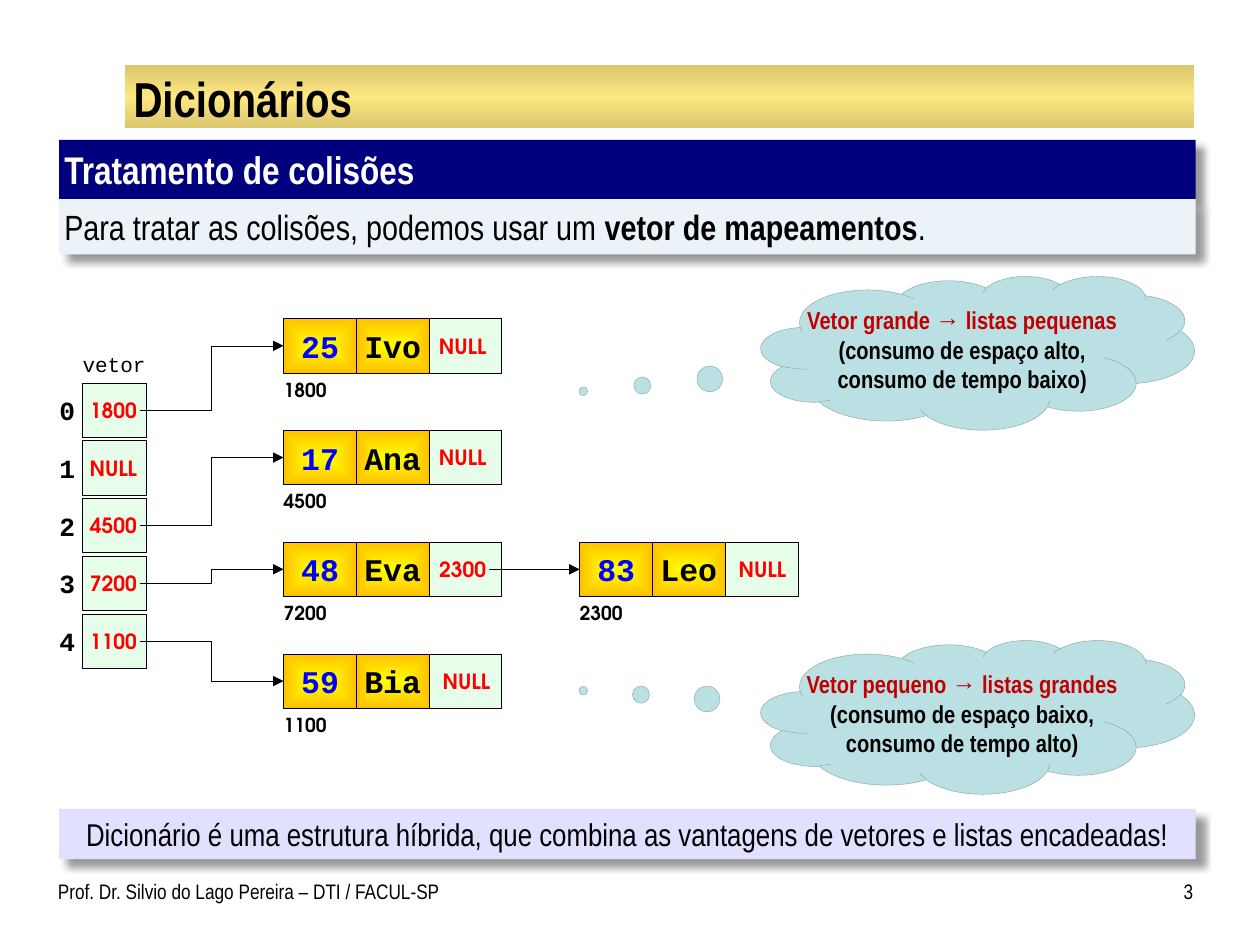
from pptx import Presentation
from pptx.dml.color import RGBColor
from pptx.enum.shapes import MSO_CONNECTOR, MSO_SHAPE
from pptx.enum.text import MSO_ANCHOR, MSO_AUTO_SIZE, PP_ALIGN
from pptx.oxml import parse_xml
from pptx.oxml.ns import nsdecls, qn
from pptx.util import Inches, Pt

COLS = 100  # square grid cells across a 10 x 7.5 inch slide, so 75 rows
LEFT, MID, RIGHT = PP_ALIGN.LEFT, PP_ALIGN.CENTER, PP_ALIGN.RIGHT


class Theme:
    black, white, red = "000000", "FFFFFF", "FF0000"
    navy, ice, lilac = "00007E", "EBF3F9", "E1E1FF"
    mint, cloud, edge = "E6FEE9", "BBE0E3", "8AA6A8"
    gold = [(0, "DAC66E"), (50, "FFE781"), (100, "DAC66E")]
    sun = [(0, "FFFF00"), (100, "FFC000")]
    sans, mono, round = "Arial Narrow", "Courier New", "TeX Gyre Adventor"
    hair = 0.25
    title = dict(name=sans, size=28, bold=True, color=black)
    head = dict(name=sans, size=22, bold=True, color=white)
    body = dict(name=sans, size=20, bold=False, color=black)
    sum = dict(name=sans, size=18, bold=False, color=black)
    foot = dict(name=sans, size=12, bold=False, color=black)
    note = dict(name=sans, size=14, bold=True, color=black)
    lead = dict(note, color="C00000")
    name = dict(name=mono, size=18, bold=True, color=black)
    key = dict(name, color="0000FF")
    index = dict(name, size=15)
    tag = dict(name=mono, size=12, bold=False, color=black)
    link = dict(name=round, size=12, bold=True, color=red)
    home = dict(name=round, size=11, bold=True, color=black)


class Deck:
    def __init__(self, theme):
        self.theme = theme
        self.file = Presentation()
        self.file.slide_width, self.file.slide_height = Inches(10), Inches(7.5)
        self.cell = self.file.slide_width / COLS
        self.slide = self.file.slides.add_slide(self.file.slide_layouts[5])
        self.shapes = self.slide.shapes

    def grid(self, *spots):
        return [round(spot * self.cell) for spot in spots]

    def words(self, shape, lines, align=LEFT, anchor=MSO_ANCHOR.TOP,
              pad=(0, 0, 0, 0), wrap=True):
        """Fill a shape with lines, each a list of (text, style) runs."""
        frame = shape.text_frame
        left, top, right, base = self.grid(*pad)
        form = dict(auto_size=MSO_AUTO_SIZE.NONE, word_wrap=wrap,
                    vertical_anchor=anchor, margin_left=left, margin_top=top,
                    margin_right=right, margin_bottom=base)
        for name, value in form.items():
            setattr(frame, name, value)
        for place, line in enumerate(lines):
            para = frame.add_paragraph() if place else frame.paragraphs[0]
            para.alignment = align
            for text, style in line:
                run = para.add_run()
                run.text = text
                for name, value in style.items():
                    if name == "color":
                        run.font.color.rgb = RGBColor.from_string(value)
                    else:
                        setattr(run.font, name, Pt(value) if name == "size" else value)

    def title(self, spot, text):
        shape = self.shapes.title
        shape.left, shape.top, shape.width, shape.height = self.grid(*spot)
        self.words(shape, [[(text, self.theme.title)]],
                   anchor=MSO_ANCHOR.MIDDLE, pad=(.6, .1, .6, .1))

    def box(self, spot, fill, line=None, kind=MSO_SHAPE.RECTANGLE):
        shape = self.shapes.add_shape(kind, *self.grid(*spot))
        shape.shadow.inherit = False
        if isinstance(fill, str):
            shape.fill.solid()
            shape.fill.fore_color.rgb = RGBColor.from_string(fill)
        if line:
            shape.line.color.rgb = RGBColor.from_string(line)
            shape.line.width = Pt(self.theme.hair)
        else:
            shape.line.fill.background()
        return shape

    def blend(self, spot, stops, way, line=None):
        """Draw a box with a gradient; way is the XML for its direction."""
        shape = self.box(spot, None, line)
        shape.fill.gradient()
        old = shape._element.spPr.find(qn("a:gradFill"))
        marks = "".join(f'<a:gs pos="{at * 1000}"><a:srgbClr val="{tint}"/></a:gs>'
                        for at, tint in stops)
        old.getparent().replace(old, parse_xml(
            f'<a:gradFill {nsdecls("a")} rotWithShape="1">'
            f'<a:gsLst>{marks}</a:gsLst>{way}</a:gradFill>'))
        return shape

    def band(self, spot, stops):
        shape = self.blend(spot, stops, '<a:lin ang="5400000" scaled="0"/>')
        self.shapes._spTree.insert(2, shape._element)  # behind the title

    def panel(self, spot, fill, runs, align=LEFT):
        shape = self.box(spot, fill)
        shape._element.spPr.find(qn("a:effectLst")).append(parse_xml(
            f'<a:outerShdw {nsdecls("a")} blurRad="{Pt(4)}" dist="{Pt(6)}" '
            'dir="2700000" algn="tl" rotWithShape="0"><a:srgbClr val="000000">'
            '<a:alpha val="40000"/></a:srgbClr></a:outerShdw>'))
        self.words(shape, [runs], align, pad=(.4, .5, .4, .5))

    def text(self, spot, text, style, align=LEFT, pad=(0, 0, 0, 0)):
        shape = self.shapes.add_textbox(*self.grid(*spot))
        self.words(shape, [[(text, style)]], align, pad=pad)

    def label(self, spot, fill, text, style, pad=(0, 0, 0, 0)):
        shape = self.box(spot, fill)
        self.words(shape, [[(text, style)]], MID, pad=pad, wrap=False)
        return shape

    def link(self, x, y, text, wide=4):
        return self.label((x, y + 1.15, wide, 2), self.theme.mint, text,
                          self.theme.link, (0, 0, .2, 0))

    def slot(self, x, y, index, text):
        """Draw one numbered vector slot and return its link label."""
        theme = self.theme
        self.label((x - 1.8, y + .9, 1.3, 2.5), theme.white, index, theme.index)
        self.box((x, y, 5.1, 4.3), theme.mint, theme.black)
        return self.link(x + .6, y, text)

    def node(self, x, y, key, name, text, home, wide):
        """Draw one list node and return its first box and link label."""
        theme, step = self.theme, 5.76
        self.box((x + 2 * step, y, 5.8, 4.3), theme.mint, theme.black)
        tail = self.link(x + 2 * step + .8, y, text, wide)
        way = ('<a:path path="shape"><a:fillToRect l="50000" t="50000" '
               'r="50000" b="50000"/></a:path>')
        parts = []
        for place, (word, style) in enumerate([(key, theme.key), (name, theme.name)]):
            part = self.blend((x + place * step, y, 5.8, 4.3), theme.sun, way, theme.black)
            self.words(part, [[(word, style)]], MID, MSO_ANCHOR.MIDDLE, (0, .3, 0, .3))
            parts.append(part)
        self.text((x, y + 4.5, 5.9, 2.6), home, theme.home, pad=(0, .2, 0, .3))
        return parts[0], tail

    def arrow(self, start, end, kind=MSO_CONNECTOR.ELBOW):
        """Join the right side of start to the left side of end."""
        wire = self.shapes.add_connector(kind, 0, 0, 0, 0)
        wire.begin_connect(start, 3)
        wire.end_connect(end, 1)
        wire.line.color.rgb = RGBColor.from_string(self.theme.black)
        wire.line.width = Pt(self.theme.hair)
        wire.line._ln.append(parse_xml(f'<a:tailEnd {nsdecls("a")} type="triangle"/>'))
        wire._element.spPr.append(parse_xml(f'<a:effectLst {nsdecls("a")}/>'))

    def cloud(self, spot, aim, lead, *notes):
        theme = self.theme
        shape = self.box(spot, theme.cloud, theme.edge, MSO_SHAPE.CLOUD_CALLOUT)
        for place, value in enumerate(aim):
            shape.adjustments[place] = value
        lines = [[(lead, theme.lead)]] + [[(note, theme.note)] for note in notes]
        self.words(shape, lines, MID, MSO_ANCHOR.MIDDLE, (0, .4, 0, .4), False)


def main():
    theme = Theme()
    deck = Deck(theme)
    edge, wide = 4.7, 90.2

    deck.band((9.9, 5.2, 84.9, 5), theme.gold)
    deck.title((10, 5.4, 84.7, 4.7), "Dicionários")
    deck.text((4.6, 69.2, 40, 4.2), "Prof. Dr. Silvio do Lago Pereira – DTI / FACUL-SP",
              theme.foot, pad=(0, .5, 1, .5))
    deck.text((90.8, 69.2, 3.9, 4.2), "3", theme.foot, RIGHT, (1, .5, 0, .5))
    deck.panel((edge, 11.1, wide, 4.7), theme.navy, [("Tratamento de colisões", theme.head)])
    deck.panel((edge, 15.8, wide, 4.4), theme.ice, [
        ("Para tratar as colisões, podemos usar um ", theme.body),
        ("vetor de mapeamentos", dict(theme.body, bold=True)), (".", theme.body)])
    deck.panel((edge, 64.2, wide, 4), theme.lilac, [
        ("Dicionário é uma estrutura híbrida, que combina as vantagens "
         "de vetores e listas encadeadas!", theme.sum)], MID)

    deck.text((6.3, 27.9, 5.5, 2.6), "vetor", theme.tag, MID)
    slots = {}
    for row, home in enumerate(["1800", "NULL", "4500", "7200", "1100"]):
        slots[home] = deck.slot(6.5, 30.4 + 4.58 * row, str(row), home)

    nodes = [
        (0, 0, "25", "Ivo", "NULL", "1800", 4),
        (0, 1, "17", "Ana", "NULL", "4500", 4),
        (0, 2, "48", "Eva", "2300", "7200", 4),
        (0, 3, "59", "Bia", "NULL", "1100", 4.6),
        (1, 2, "83", "Leo", "NULL", "2300", 4.6),
    ]
    heads, tails = {}, {}
    for col, row, key, name, link, home, size in nodes:
        heads[home], tails[link] = deck.node(
            22.5 + 23.5 * col, 25.3 + 8.87 * row, key, name, link, home, size)
    for home, slot in slots.items():
        if home in heads:
            deck.arrow(slot, heads[home])
    deck.arrow(tails["2300"], heads["2300"], MSO_CONNECTOR.STRAIGHT)

    deck.cloud((60.4, 21.9, 34.4, 12.2), (-.91, .25), "Vetor grande → listas pequenas",
               "(consumo de espaço alto,", "consumo de tempo baixo)")
    deck.cloud((60.4, 50.8, 34.4, 12.2), (-.91, -.17), "Vetor pequeno → listas grandes",
               "(consumo de espaço baixo,", "consumo de tempo alto)")
    deck.file.save("out.pptx")


if __name__ == "__main__":
    main()
